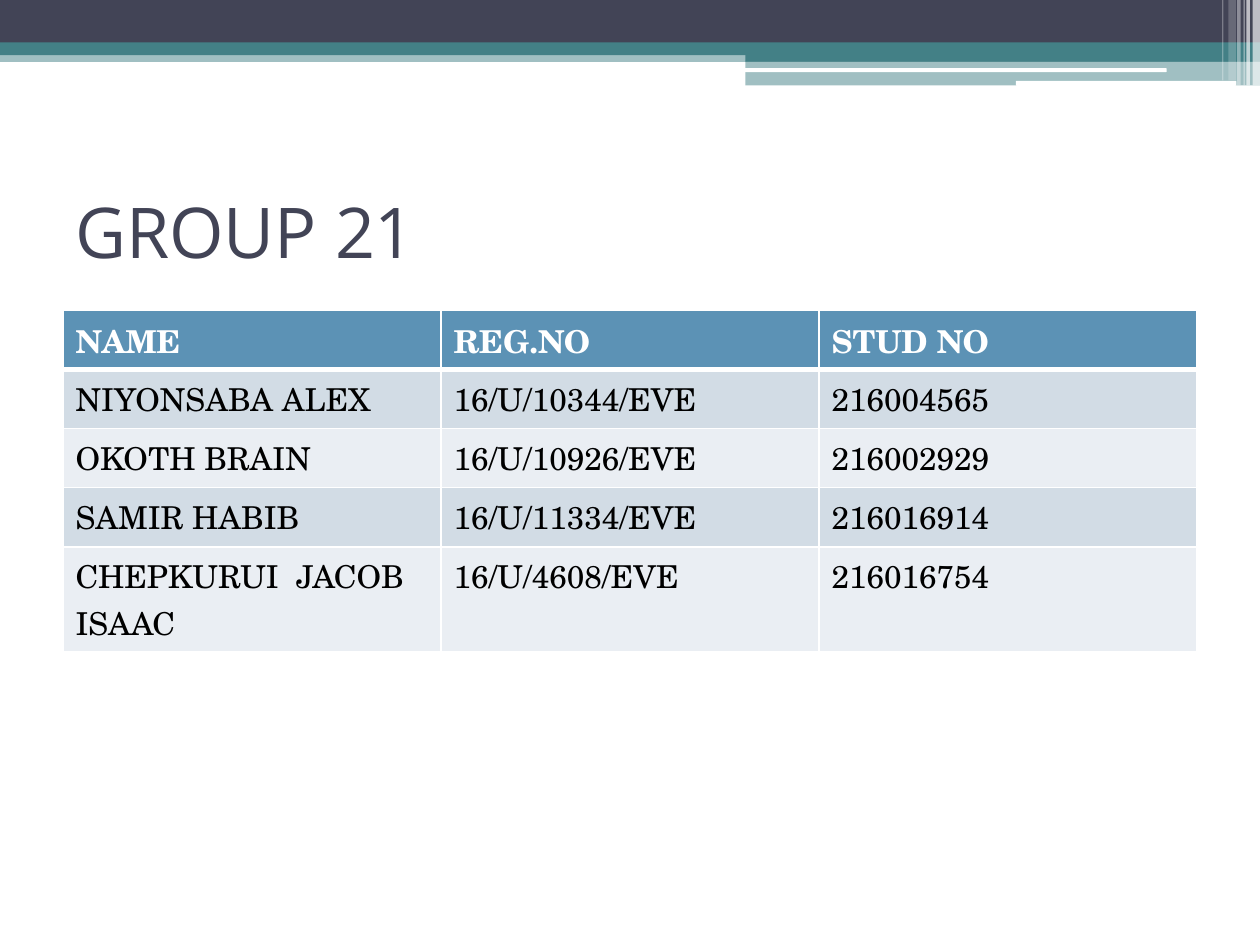
"""Build the group 21 member list slide."""
from dataclasses import dataclass

from lxml import etree
from pptx import Presentation
from pptx.dml.color import RGBColor
from pptx.enum import shapes, text
from pptx.oxml import ns
from pptx.util import Pt

WHITE = RGBColor(0xFF, 0xFF, 0xFF)
BLACK = RGBColor(0, 0, 0)
TEAL = RGBColor(0x43, 0x80, 0x86)
SLATE = RGBColor(0x42, 0x44, 0x56)
HEADER = RGBColor(0x5C, 0x92, 0xB5)
ODD_ROW = RGBColor(0xD2, 0xDC, 0xE5)
EVEN_ROW = RGBColor(0xEA, 0xEE, 0xF3)
TITLE_FONT = "Open Sans"
TABLE_FONT = "TeX Gyre Schola"
ROW_HEIGHT = 33.75
LAST_ROW_HEIGHT = 60
RECT = shapes.MSO_SHAPE.RECTANGLE
ROUND = shapes.MSO_SHAPE.ROUNDED_RECTANGLE


@dataclass
class Band:
    x: float
    y: float
    w: float
    h: float
    color: RGBColor
    opacity: int = 100
    kind: shapes.MSO_SHAPE = RECT


BANDS = [
    Band(0, 28.8, 720, 6.6, TEAL, 50),
    Band(0, 0, 720, 24.5, SLATE),
    Band(0, 24.3, 720, 7.3, TEAL),
    Band(426, 28, 294, 7.2, TEAL),
    Band(426, 34.6, 294, 14.2, TEAL, 50),
    Band(425.5, 39, 241.2, 2.2, WHITE, 100, ROUND),
    Band(580.5, 46.2, 126, 2.8, WHITE, 100, ROUND),
    Band(715.8, 0, 4.2, 48.8, WHITE, 65),
    Band(712.2, 0, 2, 48.8, WHITE, 65),
    Band(710.6, 0, 0.72, 48.8, WHITE, 60),
    Band(707, 0, 2, 48.8, WHITE, 40),
    Band(702, 0, 4.3, 46, WHITE, 20),
    Band(698.4, 0, 0.72, 46, WHITE, 30),
]

ROWS = [
    ("NAME", "REG.NO", "STUD NO"),
    ("NIYONSABA ALEX", "16/U/10344/EVE", "216004565"),
    ("OKOTH BRAIN", "16/U/10926/EVE", "216002929"),
    ("SAMIR HABIB", "16/U/11334/EVE", "216016914"),
    ("CHEPKURUI  JACOB ISAAC", "16/U/4608/EVE", "216016754"),
]


def add_band(s, band: Band) -> None:
    sp = s.shapes.add_shape(band.kind, Pt(band.x), Pt(band.y), Pt(band.w), Pt(band.h))
    sp.shadow.inherit = False
    sp.line.fill.background()
    sp.fill.solid()
    sp.fill.fore_color.rgb = band.color
    if band.opacity < 100:
        clr = sp.fill._xPr.find(".//" + ns.qn("a:srgbClr"))
        etree.SubElement(clr, ns.qn("a:alpha"), val=str(band.opacity * 1000))


def format_run(r, font: str, size: float, color: RGBColor, bold: bool = False) -> None:
    r.font.name = font
    r.font.size = Pt(size)
    r.font.color.rgb = color
    r.font.bold = bold


def add_title(s, title: str) -> None:
    tf = s.shapes.add_textbox(Pt(36), Pt(90), Pt(648), Pt(84)).text_frame
    tf.word_wrap = True
    tf.vertical_anchor = text.MSO_ANCHOR.MIDDLE
    tf.text = title
    format_run(tf.paragraphs[0].runs[0], TITLE_FONT, 40, SLATE)


def set_borders(cell, widths: dict[str, float]) -> None:
    tc_pr = cell._tc.get_or_add_tcPr()
    for i, (side, width) in enumerate(widths.items()):
        ln = etree.Element(ns.qn("a:ln" + side), w=str(Pt(width)))
        fill = etree.SubElement(ln, ns.qn("a:solidFill"))
        etree.SubElement(fill, ns.qn("a:srgbClr"), val=str(WHITE))
        tc_pr.insert(i, ln)


def add_members(s, rows: list[tuple[str, ...]]) -> None:
    last = len(rows) - 1
    height = ROW_HEIGHT * last + LAST_ROW_HEIGHT
    frame = s.shapes.add_table(len(rows), len(rows[0]), Pt(36), Pt(177.5), Pt(648), Pt(height))
    for i, row in enumerate(rows):
        frame.table.rows[i].height = Pt(LAST_ROW_HEIGHT if i == last else ROW_HEIGHT)
        for j, value in enumerate(row):
            cell = frame.table.cell(i, j)
            cell.text_frame.text = value
            color = WHITE if i == 0 else BLACK
            format_run(cell.text_frame.paragraphs[0].runs[0], TABLE_FONT, 18, color, i == 0)
            cell.fill.solid()
            cell.fill.fore_color.rgb = HEADER if i == 0 else ODD_ROW if i % 2 else EVEN_ROW
            set_borders(cell, {"L": 1, "R": 1, "T": 3 if i == 1 else 1, "B": 3 if i == 0 else 1})


def main() -> None:
    prs = Presentation()
    prs.slide_width, prs.slide_height = Pt(720), Pt(540)
    s = prs.slides.add_slide(prs.slide_layouts[6])
    for band in BANDS:
        add_band(s, band)
    add_title(s, "GROUP 21")
    add_members(s, ROWS)
    prs.save("out.pptx")


main()
